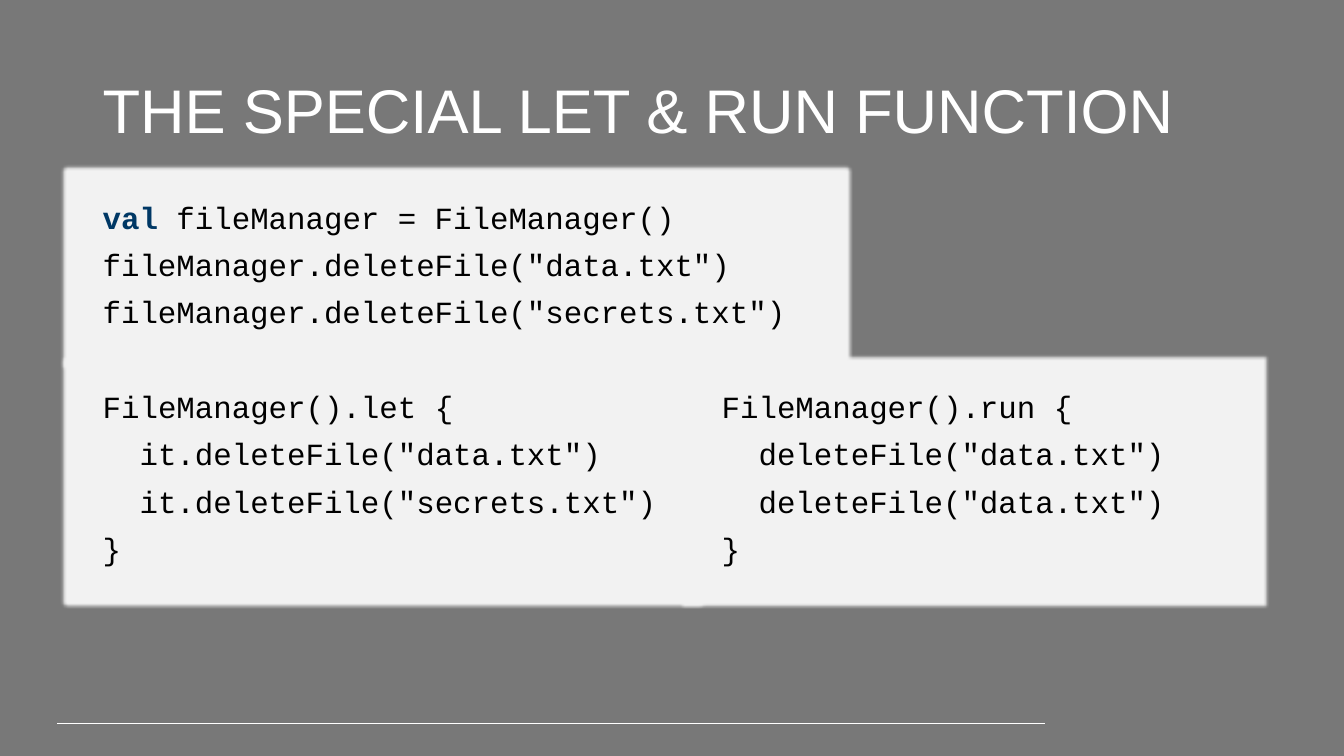
"""Build the slide that compares plain calls with let and run."""
from typing import NamedTuple

from lxml.etree import SubElement
from pptx import Presentation
from pptx.dml.color import RGBColor
from pptx.enum.shapes import MSO_CONNECTOR as CONN, MSO_SHAPE as SHAPE
from pptx.enum.text import MSO_ANCHOR as ANCHOR, MSO_AUTO_SIZE as FIT, PP_ALIGN as ALIGN
from pptx.oxml.ns import qn
from pptx.util import Inches, Pt

GREY = RGBColor(0x78, 0x78, 0x78)
WHITE = RGBColor(0xFF, 0xFF, 0xFF)
PANEL = RGBColor(0xF2, 0xF2, 0xF2)
BLACK = RGBColor(0, 0, 0)
NAVY = RGBColor(0, 0x38, 0x65)

TITLE_FONT = {"name": "Arial", "size": Pt(44), "bold": False}
CODE_FONT = {"name": "Courier New", "size": Pt(22), "bold": False}
KEYWORD_FONT = CODE_FONT | {"bold": True}
KEYWORD = "val "


class CodePanel(NamedTuple):
    left: float
    top: float
    width: float
    height: float
    code: str


PANELS = [
    CodePanel(0.92, 1.96, 7.2, 1.39, '''val fileManager = FileManager()
fileManager.deleteFile("data.txt")
fileManager.deleteFile("secrets.txt")'''),
    CodePanel(0.92, 3.84, 5.75, 1.86, '''FileManager().let {
  it.deleteFile("data.txt")
  it.deleteFile("secrets.txt")
}'''),
    CodePanel(7.06, 3.84, 5.2, 1.86, '''FileManager().run {
  deleteFile("data.txt")
  deleteFile("data.txt")
}'''),
]


def set_attrs(obj, values: dict) -> None:
    """Set each named attribute on an object."""
    for name, value in values.items():
        setattr(obj, name, value)


def add_run(p, text: str, font: dict, color: RGBColor) -> None:
    """Append a formatted run to a paragraph."""
    r = p.add_run()
    r.text = text
    set_attrs(r.font, font)
    r.font.color.rgb = color


def add_title(s, text: str) -> None:
    """Add the slide heading."""
    sp = s.shapes.add_textbox(Inches(0.92), Inches(0.4), Inches(11.5), Inches(1.45))
    tf = sp.text_frame
    set_attrs(tf, {"word_wrap": True, "vertical_anchor": ANCHOR.MIDDLE})
    p = tf.paragraphs[0]
    p.line_spacing = 0.9
    add_run(p, text, TITLE_FONT, WHITE)


def add_rule(s) -> None:
    """Add the thin line at the foot of the slide."""
    line = s.shapes.add_connector(
        CONN.STRAIGHT, Inches(0.57), Inches(7.18), Inches(10.36), Inches(7.18))
    line.line.color.rgb = WHITE
    line.line.width = Pt(0.75)
    SubElement(line._element.spPr, qn("a:effectLst"))


def soften_edge(sp) -> None:
    """Give a panel a wide square border with a soft glow."""
    sp.line.color.rgb = PANEL
    sp.line.width = Pt(28)
    SubElement(sp.line._get_or_add_ln(), qn("a:miter"), lim="800000")
    sp.shadow.inherit = False
    effects = sp._element.spPr.find(qn("a:effectLst"))
    glow = SubElement(effects, qn("a:glow"), rad=str(Pt(5)))
    SubElement(glow, qn("a:srgbClr"), val=str(PANEL))


def add_panel(s, panel: CodePanel) -> None:
    """Add a code panel with its lines of code."""
    sp = s.shapes.add_shape(SHAPE.RECTANGLE, *map(Inches, panel[:4]))
    sp.fill.solid()
    sp.fill.fore_color.rgb = PANEL
    soften_edge(sp)
    tf = sp.text_frame
    set_attrs(tf, {"word_wrap": True, "vertical_anchor": ANCHOR.TOP,
                   "auto_size": FIT.SHAPE_TO_FIT_TEXT})
    for i, code in enumerate(panel.code.splitlines()):
        p = tf.add_paragraph() if i else tf.paragraphs[0]
        set_attrs(p, {"alignment": ALIGN.LEFT, "line_spacing": 0.9,
                      "space_before": Pt(10 if i else 0)})
        if code.startswith(KEYWORD):
            add_run(p, KEYWORD, KEYWORD_FONT, NAVY)
        add_run(p, code.removeprefix(KEYWORD), CODE_FONT, BLACK)


def main() -> None:
    """Build and save the presentation."""
    prs = Presentation()
    set_attrs(prs, {"slide_width": Inches(13.33), "slide_height": Inches(7.5)})
    s = prs.slides.add_slide(prs.slide_layouts[6])
    s.background.fill.solid()
    s.background.fill.fore_color.rgb = GREY
    add_rule(s)
    add_title(s, "THE SPECIAL LET & RUN FUNCTION")
    for panel in PANELS:
        add_panel(s, panel)
    prs.save("out.pptx")


if __name__ == "__main__":
    main()
